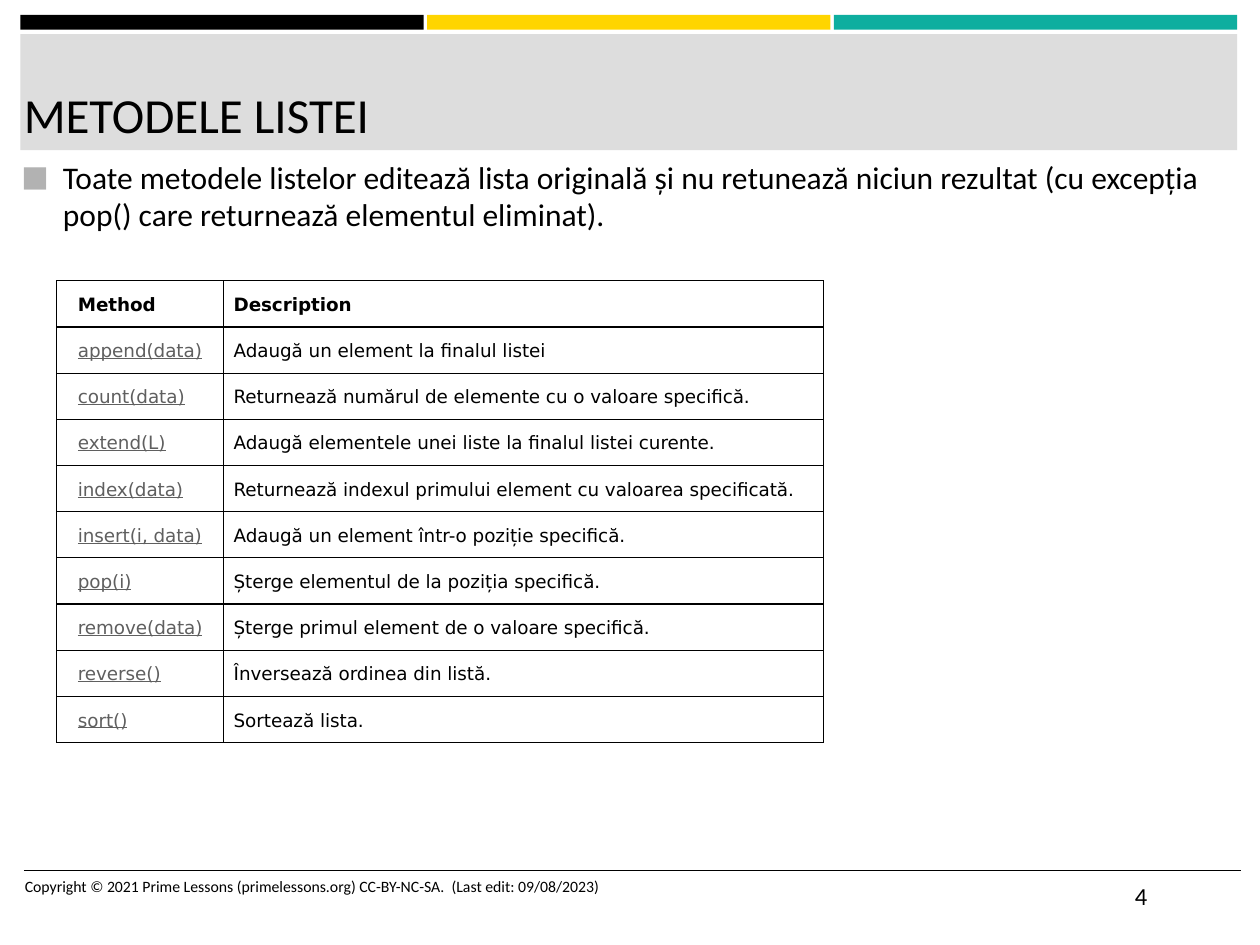
import pptx
import pptx.util
import pptx.dml.color
import pptx.enum.shapes
import pptx.enum.text
import pptx.oxml
import pptx.oxml.ns

Cm = pptx.util.Cm
Pt = pptx.util.Pt
RGBColor = pptx.dml.color.RGBColor
ANCHOR = pptx.enum.text.MSO_ANCHOR

BLACK = RGBColor(0x00, 0x00, 0x00)
GOLD = RGBColor(0xFF, 0xD5, 0x00)
TEAL = RGBColor(0x0E, 0xAE, 0x9F)
SILVER = RGBColor(0xDD, 0xDD, 0xDD)
GREY = RGBColor(0x5F, 0x5F, 0x5F)
WHITE = RGBColor(0xFF, 0xFF, 0xFF)

NS = pptx.oxml.ns.nsdecls("a")
BULLET = (
    f'<a:buClr {NS}><a:srgbClr val="B2B2B2"/></a:buClr>',
    f'<a:buSzPct {NS} val="92000"/>',
    f'<a:buFont {NS} typeface="Calibri"/>',
    f'<a:buChar {NS} char="■"/>',
)

ROWS = [
    ("Method", "Description"),
    ("append(data)", "Adaugă un element la finalul listei"),
    ("count(data)", "Returnează numărul de elemente cu o valoare specifică."),
    ("extend(L)", "Adaugă elementele unei liste la finalul listei curente."),
    ("index(data)", "Returnează indexul primului element cu valoarea specificată."),
    ("insert(i, data)", "Adaugă un element într-o poziție specifică."),
    ("pop(i)", "Șterge elementul de la poziția specifică."),
    ("remove(data)", "Șterge primul element de o valoare specifică."),
    ("reverse()", "Înversează ordinea din listă."),
    ("sort()", "Sortează lista."),
]


def write(frame, text, size=18, font="Calibri", color=BLACK, bold=False,
          under=False, bullet=False, after=0, spacing=None):
    para = frame.paragraphs[0]
    if bullet:
        props = para._p.get_or_add_pPr()
        props.set("marL", str(Cm(0.84)))
        props.set("indent", str(-Cm(0.84)))
        for xml in BULLET:
            props.append(pptx.oxml.parse_xml(xml))
    para.space_after = Pt(after)
    if spacing:
        para.line_spacing = spacing
    run = para.add_run()
    run.text = text
    run.font.name = font
    run.font.size = Pt(size)
    run.font.color.rgb = color
    run.font.bold = bold
    run.font.underline = under


class Deck:
    def __init__(self):
        self.show = pptx.Presentation()
        self.show.slide_width = Cm(25.4)
        self.show.slide_height = Cm(19.05)
        self.slide = self.show.slides.add_slide(self.show.slide_layouts[6])
        self.shapes = self.slide.shapes

    def bar(self, left, top, width, height, color):
        kind = pptx.enum.shapes.MSO_SHAPE.RECTANGLE
        shape = self.shapes.add_shape(kind, Cm(left), Cm(top), Cm(width), Cm(height))
        shape.shadow.inherit = False
        shape.fill.solid()
        shape.fill.fore_color.rgb = color
        shape.line.fill.background()

    def rule(self, left, right, top):
        kind = pptx.enum.shapes.MSO_CONNECTOR.STRAIGHT
        line = self.shapes.add_connector(kind, Cm(left), Cm(top), Cm(right), Cm(top))
        line.line.color.rgb = BLACK
        line.line.width = Pt(1)
        line._element.spPr.append(pptx.oxml.parse_xml(f"<a:effectLst {NS}/>"))

    def text(self, left, top, width, height, text, anchor=ANCHOR.TOP,
             inset=(0, 0), **style):
        frame = self.shapes.add_textbox(
            Cm(left), Cm(top), Cm(width), Cm(height)).text_frame
        frame.word_wrap = True
        frame.vertical_anchor = anchor
        frame.margin_left = frame.margin_right = Cm(inset[0])
        frame.margin_top = frame.margin_bottom = Cm(inset[1])
        write(frame, text, **style)

    def cell(self, cell, text, left, **style):
        cell.margin_left = Cm(left)
        cell.margin_right = cell.margin_top = cell.margin_bottom = Cm(0.21)
        props = cell._tc.get_or_add_tcPr()
        for side in "LRTB":
            props.append(pptx.oxml.parse_xml(
                f'<a:ln{side} {NS} w="9525"><a:solidFill>'
                f'<a:srgbClr val="{BLACK}"/></a:solidFill></a:ln{side}>'))
        cell.fill.solid()
        cell.fill.fore_color.rgb = WHITE
        write(cell.text_frame, text, size=10.5, font="DejaVu Sans",
              spacing=1.15, **style)

    def grid(self, left, top, widths, height, rows):
        table = self.shapes.add_table(
            len(rows), len(widths), Cm(left), Cm(top),
            Cm(sum(widths)), Cm(height * len(rows))).table
        for col, width in zip(table.columns, widths):
            col.width = Cm(width)
        for i, (name, about) in enumerate(rows):
            table.rows[i].height = Cm(height)
            head = i == 0
            self.cell(table.cell(i, 0), name, 0.43, bold=head,
                      under=not head, color=BLACK if head else GREY)
            self.cell(table.cell(i, 1), about, 0.21, bold=head)


def main():
    deck = Deck()
    for i, color in enumerate((BLACK, GOLD, TEAL)):
        deck.bar(0.41 + 8.2 * i, 0.3, 8.13, 0.3, color)
    deck.bar(0.41, 0.69, 24.53, 2.34, SILVER)
    deck.rule(0.48, 25.02, 17.55)
    deck.text(0.48, 0.81, 24.3, 2.08, "METODELE LISTEI",
              anchor=ANCHOR.BOTTOM, size=28)
    deck.text(0.43, 3.18, 24.53, 14.12,
              "Toate metodele listelor editează lista originală și nu retunează "
              "niciun rezultat (cu excepția pop() care returnează elementul eliminat).",
              bullet=True, after=6)
    deck.text(22.88, 17.55, 2.14, 1.02, "4", anchor=ANCHOR.MIDDLE, size=14)
    deck.grid(1.14, 5.66, (3.36, 12.1), 0.92, ROWS)
    deck.text(0.25, 17.55, 13.54, 1.02,
              "Copyright © 2021 Prime Lessons (primelessons.org) CC-BY-NC-SA.  "
              "(Last edit: 09/08/2023)", inset=(0.25, 0.13), size=9)
    deck.show.save("out.pptx")


if __name__ == "__main__":
    main()
